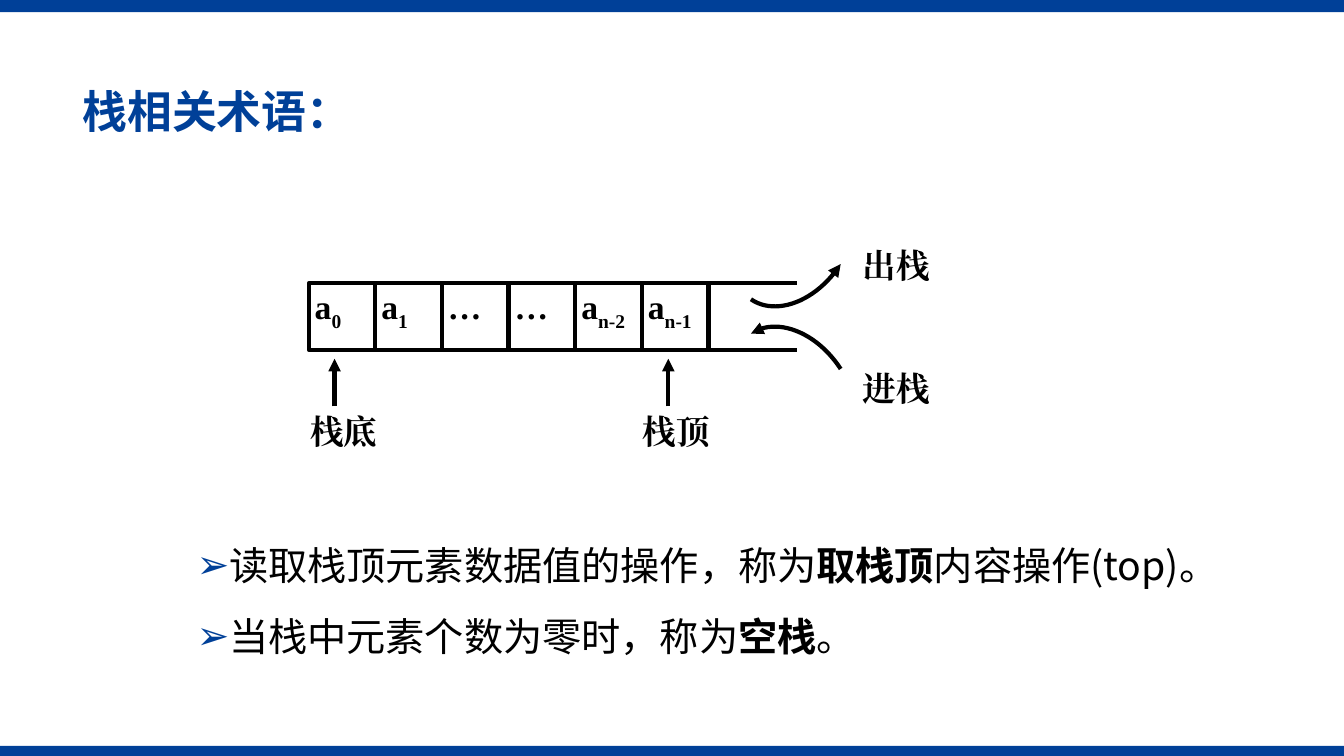
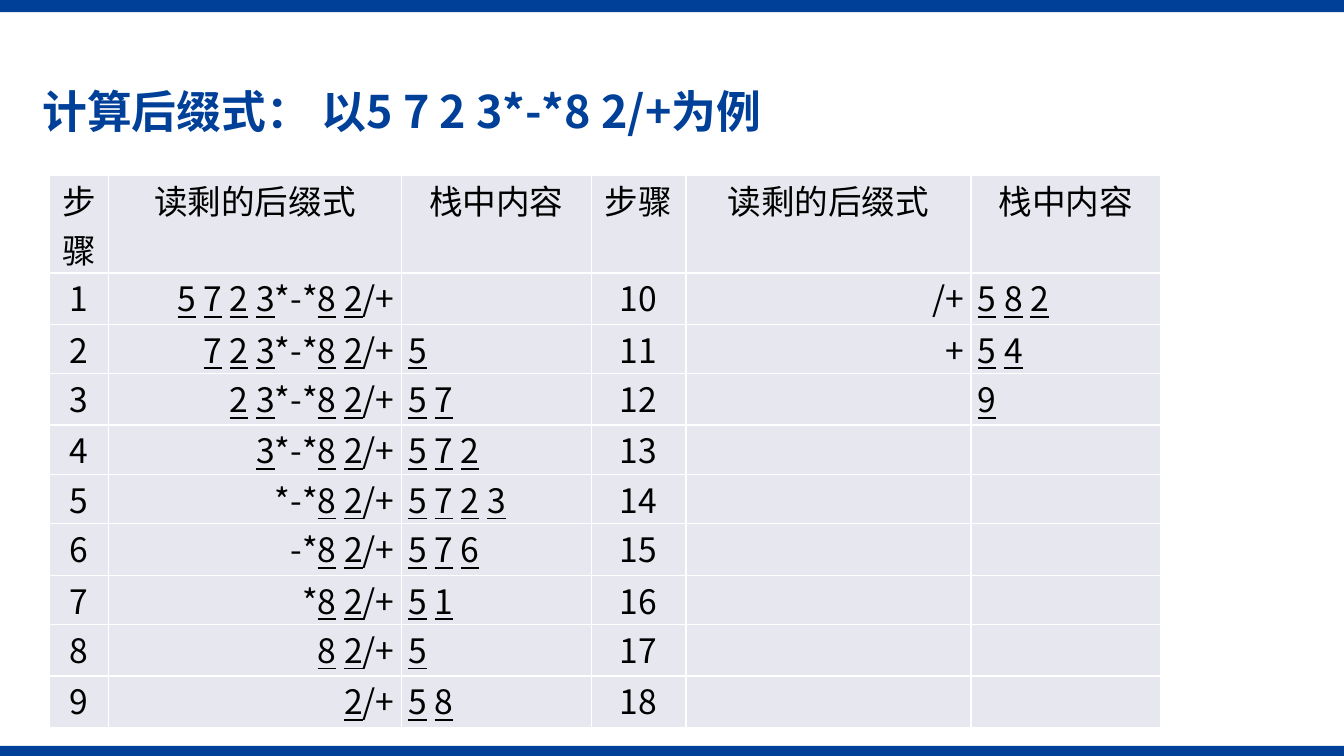
"""Build two slides on stacks: the terms, and a worked postfix example."""
import dataclasses
import itertools

import lxml.etree
import pptx
import pptx.dml.color
import pptx.enum.shapes
import pptx.enum.text
import pptx.oxml.ns
import pptx.util

Pt = pptx.util.Pt
qn = pptx.oxml.ns.qn
ALIGN = pptx.enum.text.PP_ALIGN
ANCHOR = pptx.enum.text.MSO_ANCHOR
RECT = pptx.enum.shapes.MSO_SHAPE.RECTANGLE
LINE = pptx.enum.shapes.MSO_CONNECTOR.STRAIGHT


@dataclasses.dataclass(frozen=True)
class Theme:
    """Colours, fonts and sizes of the deck."""
    blue: str = "004098"
    black: str = "000000"
    white: str = "FFFFFF"
    gray: str = "E7E8EF"
    sans: str = "Noto Sans CJK SC"
    serif: str = "Times New Roman"
    head: int = 32
    body: int = 28
    note: int = 24
    rule: int = 3


THEME = Theme()
WIDE, HIGH = 960, 540
BANDS = [(0, 532.8, WIDE, 7.2), (0, 0, WIDE, 8.64)]

TERMS = "栈相关术语："
POINTS = [
    [("读取栈顶元素数据值的操作，称为", {}), ("取栈顶", {"bold": True}), ("内容操作(top)。", {})],
    [("当栈中元素个数为零时，称为", {}), ("空栈", {"bold": True}), ("。", {})],
]
STACK = [("a", "0"), ("a", "1"), ("…", ""), ("…", ""), ("a", "n-2"), ("a", "n-1")]
LEFT, TOP, SIDE, RAIL = 220.5, 202.3, 47.6, 63.4
LABELS = [
    ("出栈", (609.1, 171.4, 75.6, 36.7)),
    ("进栈", (609.1, 259.2, 75.6, 36.7)),
    ("栈底", (214.6, 290.2, 62.6, 33.8)),
    ("栈顶", (452.2, 290.2, 62.6, 33.8)),
]
MARKS = [239, 477.4]
ARCS = [
    [(536.4, 213.8), (554.4, 226.1), (583.2, 215.3), (600.5, 188.6)],
    [(600.5, 263.5), (583.2, 236.9), (554.4, 226.1), (536.4, 238.3)],
]

SAMPLE = "计算后缀式： 以5 7 2 3*-*8 2/+为例"
HEADS = ["步骤", "读剩的后缀式", "栈中内容"]
STEPS = [
    ("5 7 2 3*-*8 2/+", ""), ("7 2 3*-*8 2/+", "5"), ("2 3*-*8 2/+", "5 7"),
    ("3*-*8 2/+", "5 7 2"), ("*-*8 2/+", "5 7 2 3"), ("-*8 2/+", "5 7 6"),
    ("*8 2/+", "5 1"), ("8 2/+", "5"), ("2/+", "5 8"),
    ("/+", "5 8 2"), ("+", "5 4"), ("", "9"),
] + [("", "")] * 6
HALF = len(STEPS) // 2
COLS = [42.2, 209.3, 135.5, 67.7, 203.6, 135.8]
ROWS = [62.6, 36.7, 35.3, 36.7, 35.3, 35.3, 36.7, 35.3, 36.7, 36.7]
SIDES = [ALIGN.CENTER, ALIGN.RIGHT, ALIGN.JUSTIFY]


def put(item, **vals):
    for name, val in vals.items():
        setattr(item, name, val)


def place(item, box):
    put(item, **dict(zip(("left", "top", "width", "height"), map(Pt, box))))


def rgb(code):
    return pptx.dml.color.RGBColor.from_string(code)


def paint(fill, code):
    fill.solid()
    fill.fore_color.rgb = rgb(code)


def write(para, runs, size, face=THEME.sans, color=THEME.black, **vals):
    for text, look in runs:
        run = para.add_run()
        run.text = text
        put(run.font, **{"size": Pt(size), "name": face, **vals, **look})
        run.font.color.rgb = rgb(color)
        props = run._r.get_or_add_rPr()
        lxml.etree.SubElement(props, qn("a:ea"), typeface=face)


def stroke(item, arrow=False):
    item.line.width = Pt(THEME.rule)
    paint(item.line.fill, THEME.black)
    if arrow:
        edge = item.element.spPr.find(qn("a:ln"))
        lxml.etree.SubElement(edge, qn("a:tailEnd"), type="triangle")


def join(slide, start, end, arrow=False):
    line = slide.shapes.add_connector(LINE, *map(Pt, start + end))
    stroke(line, arrow)
    lxml.etree.SubElement(line.element.spPr, qn("a:effectLst"))


def box(slide, rect):
    shape = slide.shapes.add_shape(RECT, *map(Pt, rect))
    shape.shadow.inherit = False
    return shape


def brand(deck, slide):
    tree = deck.slide_master.element.cSld.spTree
    for rect in BANDS:
        band = box(slide, rect)
        paint(band.fill, THEME.blue)
        band.line.fill.background()
        tree.insert(2, band.element)


def title(slide, text, left):
    head = slide.shapes.title
    place(head, (left, 59, 879.1, 45.4))
    put(head.text_frame, vertical_anchor=ANCHOR.MIDDLE, word_wrap=True,
        auto_size=pptx.enum.text.MSO_AUTO_SIZE.NONE)
    para = head.text_frame.paragraphs[0]
    put(para, alignment=ALIGN.LEFT, line_spacing=0.9)
    write(para, [(text, {})], THEME.head, color=THEME.blue, bold=True)


def bullets(slide):
    body = slide.placeholders[1]
    place(body, (133.2, 376.6, 763.9, 105.8))
    frame = body.text_frame
    frame.auto_size = pptx.enum.text.MSO_AUTO_SIZE.NONE
    for i, runs in enumerate(POINTS):
        para = frame.add_paragraph() if i else frame.paragraphs[0]
        put(para, line_spacing=1.2, space_before=Pt(10))
        props = para._p.get_or_add_pPr()
        props.set("marL", str(Pt(18)))
        props.set("indent", str(-Pt(18)))
        tint = lxml.etree.SubElement(props, qn("a:buClr"))
        lxml.etree.SubElement(tint, qn("a:srgbClr"), val=THEME.blue)
        lxml.etree.SubElement(props, qn("a:buChar"), char="➢")
        write(para, runs, THEME.body)


def curve(slide, knots, count=24):
    def spot(t):
        parts = ((1 - t) ** 3, 3 * t * (1 - t) ** 2, 3 * t * t * (1 - t), t ** 3)
        return tuple(Pt(sum(p * k[axis] for p, k in zip(parts, knots))) for axis in (0, 1))

    pen = slide.shapes.build_freeform(*spot(0), scale=1.0)
    pen.add_line_segments([spot(i / count) for i in range(1, count + 1)], close=False)
    arc = pen.convert_to_shape()
    arc.shadow.inherit = False
    arc.fill.background()
    stroke(arc, arrow=True)


def stack(slide):
    for i, (name, sub) in enumerate(STACK):
        cell = box(slide, (LEFT + i * SIDE, TOP, SIDE, SIDE))
        cell.fill.background()
        stroke(cell)
        put(cell.text_frame, vertical_anchor=ANCHOR.TOP, word_wrap=True,
            margin_left=Pt(4.3), margin_right=Pt(4.3),
            margin_top=Pt(2.2), margin_bottom=Pt(2.2))
        para = cell.text_frame.paragraphs[0]
        para.alignment = ALIGN.JUSTIFY
        runs = [(text, {}) for text in (name, sub) if text]
        write(para, runs, THEME.note, THEME.serif, bold=True)
        if sub:
            para.runs[1]._r.get_or_add_rPr().set("baseline", "-25000")
    end = LEFT + len(STACK) * SIDE
    for y in (TOP, TOP + SIDE):
        join(slide, (end, y), (end + RAIL, y))
    for x in MARKS:
        join(slide, (x, 290.2), (x, 256.3), arrow=True)
    for knots in ARCS:
        curve(slide, knots)
    for text, rect in LABELS:
        label = slide.shapes.add_textbox(*map(Pt, rect))
        label.text_frame.word_wrap = True
        para = label.text_frame.paragraphs[0]
        para.alignment = ALIGN.JUSTIFY
        write(para, [(text, {})], THEME.note, THEME.serif, bold=True)


def border(cell):
    props = cell._tc.get_or_add_tcPr()
    for i, side in enumerate(("lnL", "lnR", "lnT", "lnB")):
        edge = lxml.etree.Element(qn("a:" + side), w=str(Pt(1)))
        fill = lxml.etree.SubElement(edge, qn("a:solidFill"))
        lxml.etree.SubElement(fill, qn("a:srgbClr"), val=THEME.white)
        props.insert(i, edge)


def split(text):
    return [("".join(part), {"underline": True} if digit else {})
            for digit, part in itertools.groupby(text, str.isdigit)]


def trace(slide):
    rect = (35.3, 125.3, sum(COLS), sum(ROWS))
    grid = slide.shapes.add_table(len(ROWS), len(COLS), *map(Pt, rect)).table
    put(grid, first_row=False, horz_banding=False)
    for col, width in zip(grid.columns, COLS):
        col.width = Pt(width)
    for row, height in zip(grid.rows, ROWS):
        row.height = Pt(height)
    for r, c in itertools.product(range(len(ROWS)), range(len(COLS))):
        half, kind = divmod(c, len(HEADS))
        step = half * HALF + r
        if r == 0:
            runs = [(HEADS[kind], {})]
        elif kind == 0:
            runs = [(str(step), {})]
        else:
            runs = split(STEPS[step - 1][kind - 1])
        cell = grid.cell(r, c)
        put(cell, margin_left=Pt(5), margin_right=Pt(5), margin_top=0, margin_bottom=0)
        paint(cell.fill, THEME.gray)
        border(cell)
        para = cell.text_frame.paragraphs[0]
        para.alignment = SIDES[kind] if r else ALIGN.CENTER
        write(para, runs, THEME.note)


def main():
    deck = pptx.Presentation()
    put(deck, slide_width=Pt(WIDE), slide_height=Pt(HIGH))
    terms = deck.slides.add_slide(deck.slide_layouts[1])
    brand(deck, terms)
    title(terms, TERMS, 51.8)
    bullets(terms)
    stack(terms)
    sample = deck.slides.add_slide(deck.slide_layouts[5])
    title(sample, SAMPLE, 23)
    trace(sample)
    deck.save("out.pptx")


if __name__ == "__main__":
    main()
